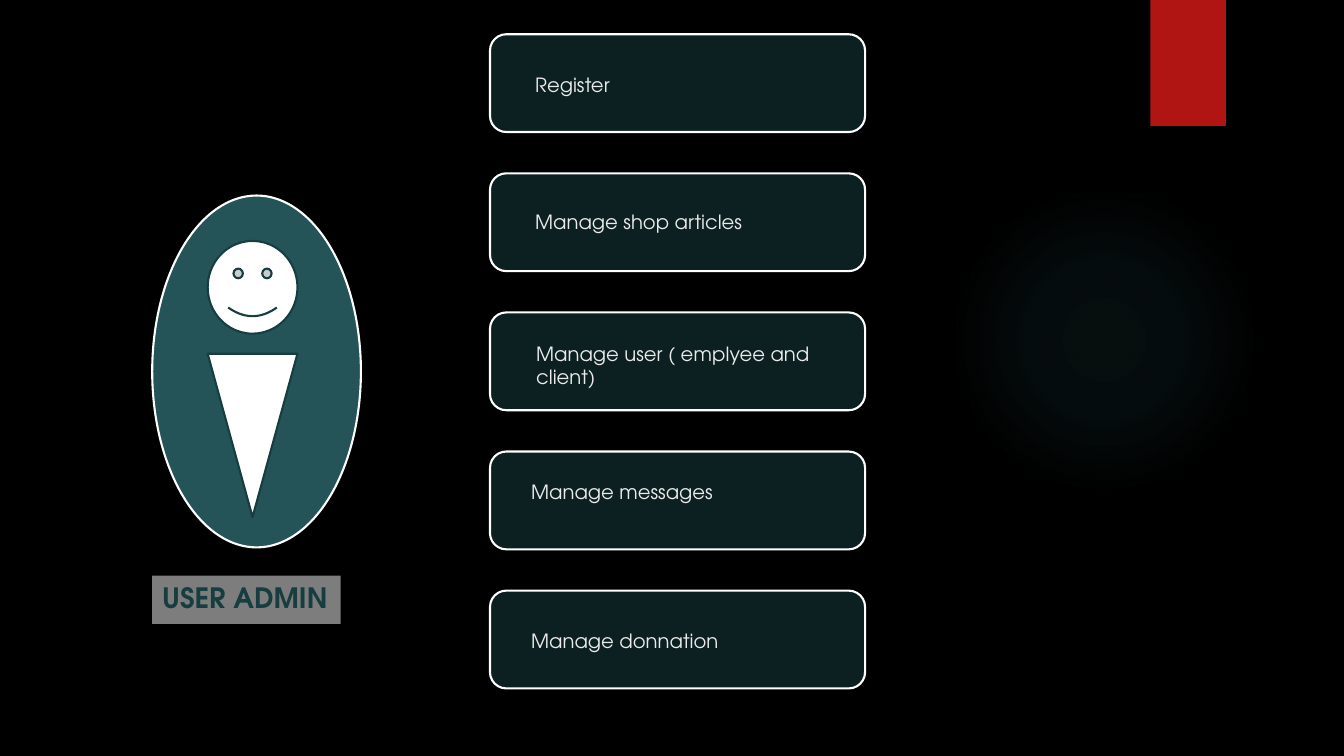
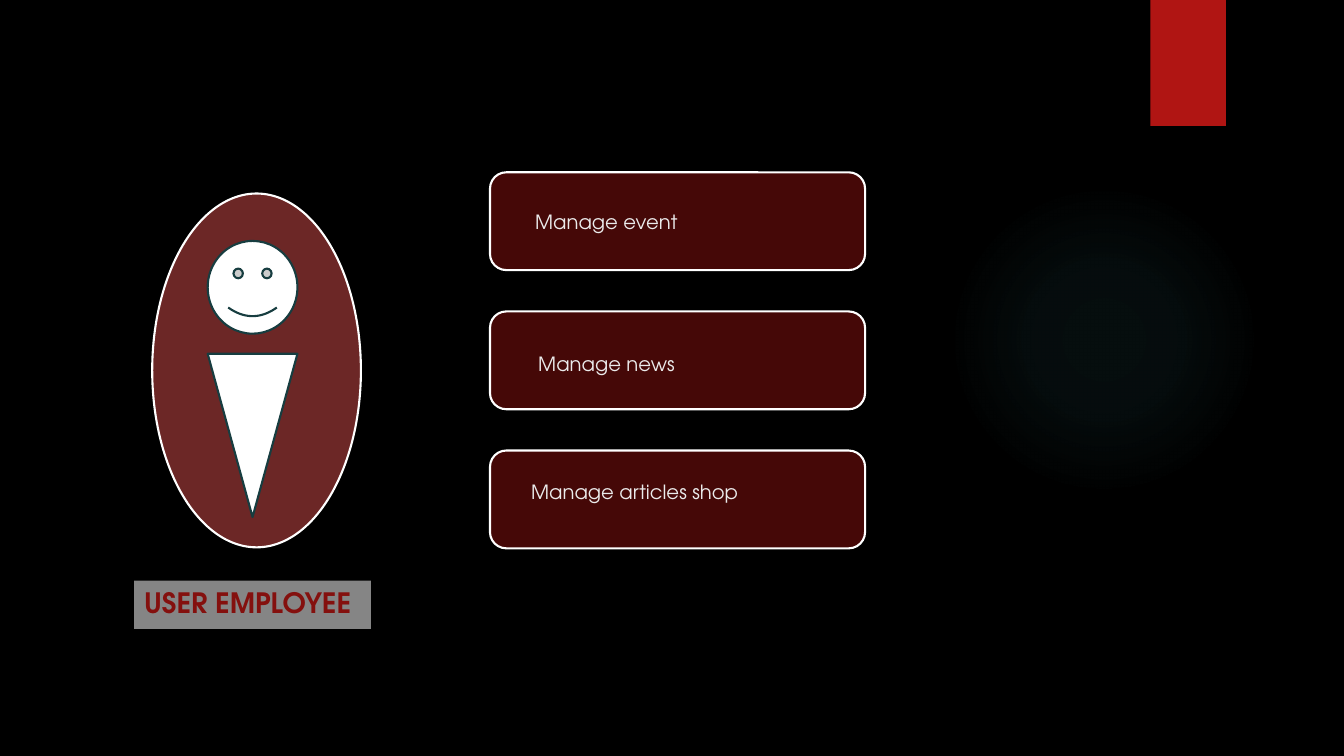
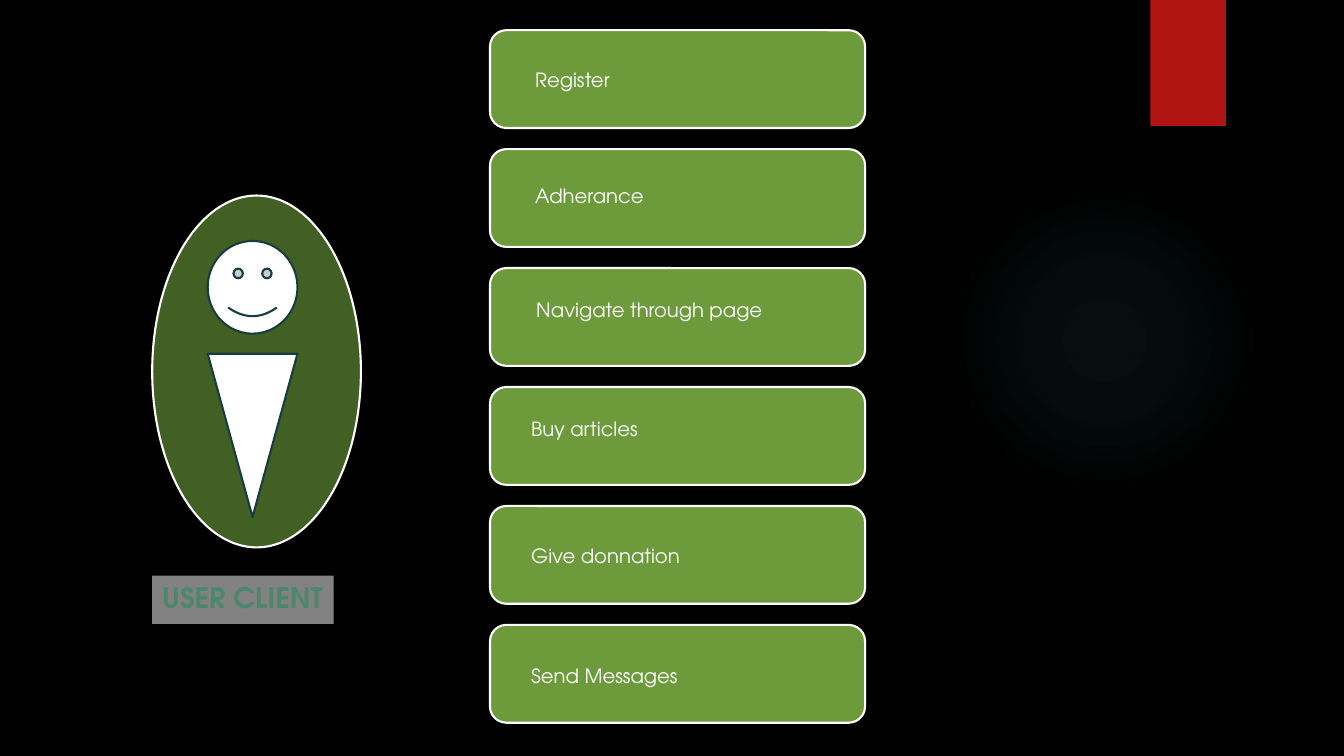
from lxml import etree
from pptx import Presentation
from pptx.dml.color import RGBColor
from pptx.enum.shapes import MSO_SHAPE
from pptx.enum.text import MSO_ANCHOR, PP_ALIGN
from pptx.oxml import parse_xml
from pptx.oxml.ns import nsdecls, qn
from pptx.util import Inches, Pt

OVAL = MSO_SHAPE.OVAL
RECTANGLE = MSO_SHAPE.RECTANGLE
ROUNDED = MSO_SHAPE.ROUNDED_RECTANGLE
SMILEY = MSO_SHAPE.SMILEY_FACE
TRIANGLE_DOWN = MSO_SHAPE.FLOWCHART_MERGE
LEFT = PP_ALIGN.LEFT
TOP = MSO_ANCHOR.TOP

COLORS = {
    "black": "000000",
    "white": "FFFFFF",
    "light": "EBEBEB",
    "ribbon": "B01513",
    "aqua": "50B9C1",
    "teal": "173D40",
    "coral": "ED5654",
    "maroon": "84100E",
    "green": "92D050",
    "sage": "4B866D",
}
FONT_NAME = "TeX Gyre Adventor"
LABEL_FONT = {"name": FONT_NAME, "size": Pt(14), "bold": False}
CAPTION_FONT = {"name": FONT_NAME, "size": Pt(20), "bold": True}
GLOW_STOPS = [(0, 7), (36, 6), (69, 0)]  # position and opacity, percent
CARD_LEFT, CARD_WIDTH, CARD_HEIGHT = 4.86, 3.72, 0.97
LABEL_HEIGHT = 0.48

# Each label: text, left, top, width. Each caption: text, box, opacity, colour.
ROLES = [
    {
        "oval": (1.51, 1.94, 2.07, 3.49), "oval_color": "aqua",
        "card_color": "teal", "card_opacity": 53, "label_color": "light",
        "first_top": 0.34, "pitch": 1.38,
        "labels": [
            ("Register", 5.21, 0.67, 1.72),
            ("Manage shop articles", 5.21, 2.03, 3),
            ("Manage user ( emplyee and client)", 5.22, 3.34, 3.26),
            ("Manage messages", 5.17, 4.71, 3),
            ("Manage donnation", 5.17, 6.19, 3),
        ],
        "caption": ("USER ADMIN", (1.51, 5.71, 1.87, 0.48), 49, "teal"),
    },
    {
        "oval": (1.51, 1.92, 2.07, 3.51), "oval_color": "coral",
        "card_color": "maroon", "card_opacity": 53, "label_color": "light",
        "first_top": 1.71, "pitch": 1.38,
        "labels": [
            ("Manage event", 5.21, 2.03, 3),
            ("Manage news", 5.24, 3.44, 3),
            ("Manage articles shop", 5.17, 4.71, 3),
        ],
        "caption": ("USER EMPLOYEE", (1.33, 5.76, 2.35, 0.48), 52, "maroon"),
    },
    {
        "oval": (1.51, 1.94, 2.07, 3.49), "oval_color": "green",
        "card_color": "green", "card_opacity": 75, "label_color": "white",
        "first_top": 0.3, "pitch": 1.18,
        "labels": [
            ("Register", 5.21, 0.62, 1.72),
            ("Adherance", 5.21, 1.78, 3),
            ("Navigate through page", 5.22, 2.91, 3.26),
            ("Buy articles", 5.17, 4.09, 3),
            ("Give donnation", 5.17, 5.35, 3),
            ("Send Messages", 5.17, 6.54, 3),
        ],
        "caption": ("USER CLIENT", (1.51, 5.71, 1.8, 0.48), 51, "sage"),
    },
]


def add_figure(slide, kind, box, fill=None, opacity=100, outline=None):
    """Add a shadowless preset shape; opacity is in percent."""
    figure = slide.shapes.add_shape(kind, *map(Inches, box))
    figure.shadow.inherit = False
    if fill:
        figure.fill.solid()
        figure.fill.fore_color.rgb = RGBColor.from_string(COLORS[fill])
        if opacity < 100:
            color = figure.fill._xPr.find(qn("a:solidFill"))[0]
            etree.SubElement(color, qn("a:alpha"), val=str(opacity * 1000))
    if outline:
        figure.line.color.rgb = RGBColor.from_string(COLORS[outline])
        figure.line.width = Pt(1.5)
    else:
        figure.line.fill.background()
    return figure


def write_text(holder, text, formats, color):
    frame = holder.text_frame
    frame.word_wrap = True
    frame.vertical_anchor = TOP
    frame.margin_right = 0
    paragraph = frame.paragraphs[0]
    paragraph.text = text
    paragraph.alignment = LEFT
    for attribute, value in formats.items():
        setattr(paragraph.font, attribute, value)
    paragraph.font.color.rgb = RGBColor.from_string(COLORS[color])


prs = Presentation()
prs.slide_width = Inches(13.33)
prs.slide_height = Inches(7.5)
backdrop = prs.slide_master.background.fill
backdrop.solid()
backdrop.fore_color.rgb = RGBColor.from_string(COLORS["black"])
blank = prs.slide_layouts[6]

stops = "".join(
    f'<a:gs pos="{position * 1000}"><a:srgbClr val="{COLORS["aqua"]}">'
    f'<a:alpha val="{opacity * 1000}"/></a:srgbClr></a:gs>'
    for position, opacity in GLOW_STOPS
)
glow_xml = (
    f'<a:gradFill {nsdecls("a")}><a:gsLst>{stops}</a:gsLst><a:path path="circle">'
    '<a:fillToRect l="50000" t="50000" r="50000" b="50000"/></a:path></a:gradFill>'
)

for role in ROLES:
    slide = prs.slides.add_slide(blank)

    glow = add_figure(slide, OVAL, (9.41, 1.83, 3.08, 3.08))
    glow._element.spPr.find(qn("a:prstGeom")).addnext(parse_xml(glow_xml))
    add_figure(slide, RECTANGLE, (11.41, 0, 0.75, 1.25), "ribbon")

    add_figure(slide, OVAL, role["oval"], role["oval_color"], 46, "white")
    add_figure(slide, SMILEY, (2.06, 2.39, 0.89, 0.92), "white", outline="teal")
    add_figure(slide, TRIANGLE_DOWN, (2.06, 3.51, 0.89, 1.62), "white", outline="teal")

    for row, (text, left, top, width) in enumerate(role["labels"]):
        card_top = role["first_top"] + row * role["pitch"]
        add_figure(slide, ROUNDED, (CARD_LEFT, card_top, CARD_WIDTH, CARD_HEIGHT),
                   role["card_color"], role["card_opacity"], "white")
        label = slide.shapes.add_textbox(*map(Inches, (left, top, width, LABEL_HEIGHT)))
        write_text(label, text, LABEL_FONT, role["label_color"])

    text, box, opacity, color = role["caption"]
    caption = add_figure(slide, RECTANGLE, box, "white", opacity)
    write_text(caption, text, CAPTION_FONT, color)

prs.save("out.pptx")
